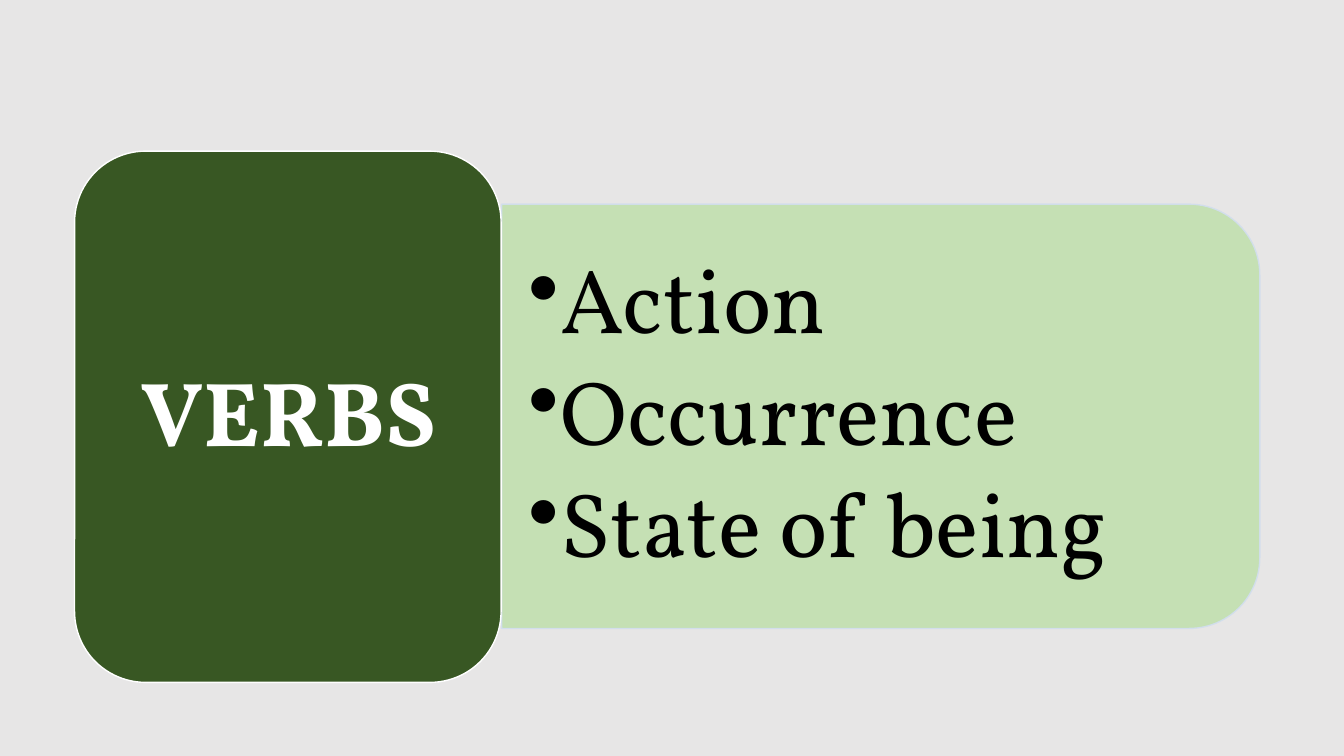
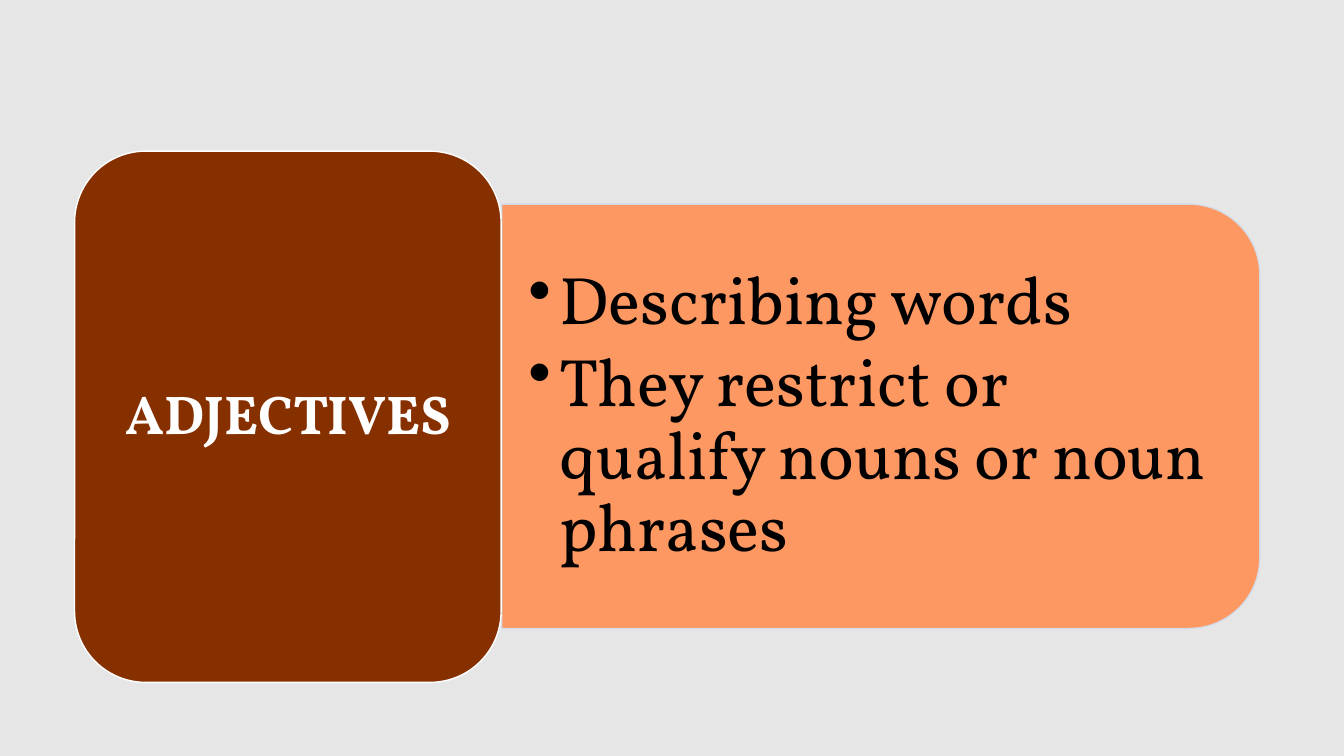
"""Build two word-class slides, each a label card with a bulleted panel."""
from lxml.etree import SubElement
from pptx import Presentation
from pptx.dml.color import RGBColor as RGB
from pptx.enum.shapes import MSO_SHAPE as Shape
from pptx.enum.text import MSO_ANCHOR as Anchor, PP_ALIGN as Align
from pptx.oxml.ns import qn
from pptx.util import Inches, Pt

FONT = "Vollkorn"
COLORS = {
    "back": "E7E6E6",
    "edge": "D2DEEF",
    "white": "FFFFFF",
    "black": "000000",
    "forest": "385723",
    "leaf": "C5E0B4",
    "rust": "863000",
    "peach": "FD9862",
}


def color(name):
    return RGB.from_string(COLORS[name])


def write(frame, lines, size, ink="black", bold=False, align=Align.LEFT,
          bullet=False, after=0.15, pad=0.27):
    frame.word_wrap = True
    frame.vertical_anchor = Anchor.MIDDLE
    frame.margin_left = frame.margin_right = Inches(pad)
    frame.margin_top = frame.margin_bottom = Inches(pad / 2)
    for i, line in enumerate(lines):
        para = frame.add_paragraph() if i else frame.paragraphs[0]
        if bullet:
            props = para._p.get_or_add_pPr()
            props.set("marL", str(Inches(0.31)))
            props.set("indent", str(-Inches(0.31)))
            SubElement(props, qn("a:buChar")).set("char", "•")
            para.level = 1
        para.alignment = align
        para.line_spacing = 0.9
        para.space_after = Pt(after * size)
        run = para.add_run()
        run.text = line
        font = run.font
        font.name, font.size, font.bold = FONT, Pt(size), bold
        font.color.rgb = color(ink)


class Deck:
    def __init__(self):
        self.show = Presentation()
        self.show.slide_width = Inches(13.33)
        self.show.slide_height = Inches(7.5)

    def page(self):
        self.slide = self.show.slides.add_slide(self.show.slide_layouts[6])
        fill = self.slide.background.fill
        fill.solid()
        fill.fore_color.rgb = color("back")

    def shape(self, kind, box, fill, line):
        item = self.slide.shapes.add_shape(kind, *map(Inches, box))
        item.shadow.inherit = False
        item.fill.solid()
        item.fill.fore_color.rgb = color(fill)
        item.line.color.rgb = color(line)
        item.line.width = Pt(1)
        return item

    def text(self, box, lines, **style):
        area = self.slide.shapes.add_textbox(*map(Inches, box))
        write(area.text_frame, lines, **style)

    def panel(self, lines, fill, size):
        item = self.shape(Shape.ROUND_2_SAME_RECTANGLE,
                          (6.63, 0.37, 4.21, 7.52), fill, "edge")
        item.rotation = 90
        tint = item.line.color._xFill.find(qn("a:srgbClr"))
        SubElement(tint, qn("a:alpha")).set("val", "90000")
        self.text((4.97, 2.23, 7.32, 3.8), lines, size=size, bullet=True)

    def label(self, title, fill, size, pad):
        self.shape(Shape.ROUNDED_RECTANGLE, (0.74, 1.5, 4.23, 5.27),
                   fill, "white")
        self.text((0.95, 1.71, 3.82, 4.85), [title], size=size, ink="white",
                  bold=True, align=Align.CENTER, after=0.35, pad=pad)

    def topic(self, title, lines, dark, light, head, body, pad):
        self.page()
        self.panel(lines, light, body)
        self.label(title, dark, head, pad)


def main():
    deck = Deck()
    deck.topic("VERBS", ["Action", "Occurrence", "State of being"],
               "forest", "leaf", head=65, body=65, pad=0.27)
    deck.topic("ADJECTIVES",
               ["Describing words",
                "They restrict or qualify nouns or noun phrases"],
               "rust", "peach", head=39, body=48, pad=0.16)
    deck.show.save("out.pptx")


if __name__ == "__main__":
    main()
